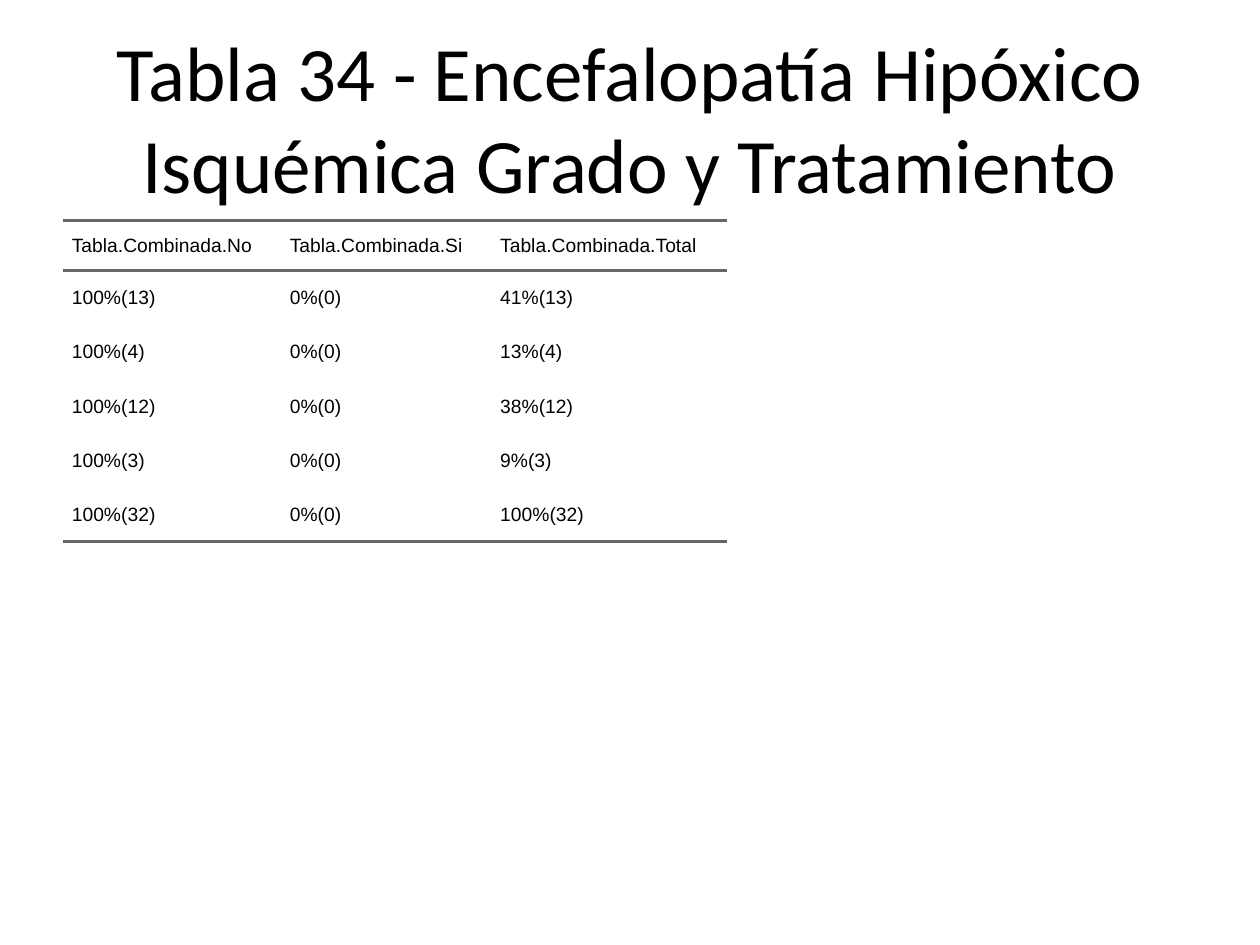
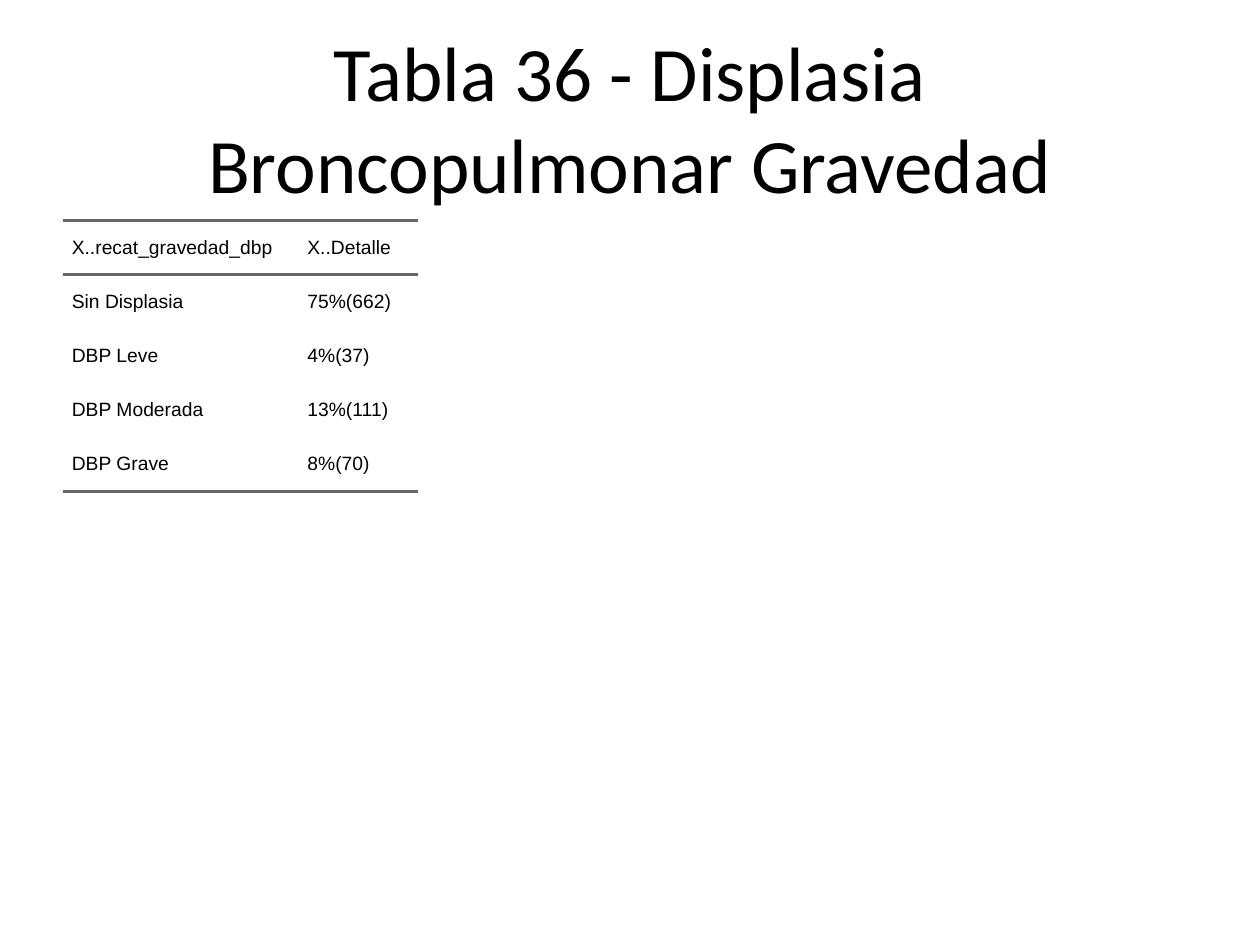
from lxml import etree
from pptx import Presentation
from pptx.dml.color import RGBColor
from pptx.enum.text import MSO_ANCHOR, MSO_AUTO_SIZE, PP_ALIGN
from pptx.oxml.ns import qn
from pptx.util import Inches, Pt

TABLE_SLIDES = [
    {
        "title": "Tabla 34 - Encefalopatía Hipóxico Isquémica Grado y Tratamiento",
        "column_widths": [1.73, 1.67, 1.87],
        "header_height": 0.4,
        "rows": [
            ("Tabla.Combinada.No", "Tabla.Combinada.Si", "Tabla.Combinada.Total"),
            ("100%(13)", "0%(0)", "41%(13)"),
            ("100%(4)", "0%(0)", "13%(4)"),
            ("100%(12)", "0%(0)", "38%(12)"),
            ("100%(3)", "0%(0)", "9%(3)"),
            ("100%(32)", "0%(0)", "100%(32)"),
        ],
    },
    {
        "title": "Tabla 36 - Displasia Broncopulmonar Gravedad",
        "column_widths": [1.87, 0.95],
        "header_height": 0.43,
        "rows": [
            ("X..recat_gravedad_dbp", "X..Detalle"),
            ("Sin Displasia", "75%(662)"),
            ("DBP Leve", "4%(37)"),
            ("DBP Moderada", "13%(111)"),
            ("DBP Grave", "8%(70)"),
        ],
    },
]

BLACK = RGBColor(0x00, 0x00, 0x00)
RULE_GRAY = RGBColor(0x66, 0x66, 0x66)
MIDDLE = MSO_ANCHOR.MIDDLE
CENTER = PP_ALIGN.CENTER
LEFT = PP_ALIGN.LEFT
NO_AUTOFIT = MSO_AUTO_SIZE.NONE

TITLE_BOX = {"left": Inches(0.5), "top": Inches(0.3),
             "width": Inches(9), "height": Inches(1.25)}
TITLE_FRAME = {"word_wrap": True, "auto_size": NO_AUTOFIT, "vertical_anchor": MIDDLE}
TITLE_FONT = {"name": "Calibri", "size": Pt(44)}
CELL_FORMAT = {"vertical_anchor": MIDDLE, "margin_left": 0, "margin_right": 0,
               "margin_top": 0, "margin_bottom": 0}
CELL_FONT = {"name": "Arial", "size": Pt(11)}
CELL_INDENT = Inches(0.07)
TABLE_LEFT, TABLE_TOP = Inches(0.5), Inches(1.75)
BODY_ROW_HEIGHT = 0.43
RULE_WIDTH = Pt(2)
PLAIN_TABLE_STYLE = "{2D5ABB26-0587-4C30-8999-92F81FD0307C}"
TITLE_ONLY_LAYOUT = 5


def apply_format(target, values):
    for name, value in values.items():
        setattr(target, name, value)


def format_paragraph(paragraph, font_values, alignment):
    paragraph.alignment = alignment
    apply_format(paragraph.font, font_values)
    paragraph.font.color.rgb = BLACK


def add_rule(cell, side):
    line = etree.SubElement(cell._tc.get_or_add_tcPr(), qn(f"a:{side}"), w=str(RULE_WIDTH))
    fill = etree.SubElement(line, qn("a:solidFill"))
    etree.SubElement(fill, qn("a:srgbClr"), val=str(RULE_GRAY))


def fill_title(slide, text):
    title = slide.shapes.title
    apply_format(title, TITLE_BOX)
    title.text_frame.text = text
    apply_format(title.text_frame, TITLE_FRAME)
    format_paragraph(title.text_frame.paragraphs[0], TITLE_FONT, CENTER)


def fill_cell(cell, text, rule_sides):
    cell.text = text
    apply_format(cell, CELL_FORMAT)
    paragraph = cell.text_frame.paragraphs[0]
    format_paragraph(paragraph, CELL_FONT, LEFT)
    paragraph._p.get_or_add_pPr().set("marL", str(CELL_INDENT))
    for side in rule_sides:
        add_rule(cell, side)
    cell.fill.background()


def add_ruled_table(slide, rows, column_widths, header_height):
    row_heights = [header_height] + [BODY_ROW_HEIGHT] * (len(rows) - 1)
    table = slide.shapes.add_table(
        len(rows), len(column_widths), TABLE_LEFT, TABLE_TOP,
        Inches(sum(column_widths)), Inches(sum(row_heights))).table
    apply_format(table, {"first_row": False, "horz_banding": False})
    table._tbl.tblPr.find(qn("a:tableStyleId")).text = PLAIN_TABLE_STYLE
    for column, width in zip(table.columns, column_widths):
        column.width = Inches(width)
    rule_sides = {0: ("lnT", "lnB"), len(rows) - 1: ("lnB",)}
    for row_index, (texts, height) in enumerate(zip(rows, row_heights)):
        table.rows[row_index].height = Inches(height)
        for column_index, text in enumerate(texts):
            fill_cell(table.cell(row_index, column_index), text,
                      rule_sides.get(row_index, ()))


def main():
    presentation = Presentation()
    presentation.slide_width = Inches(10)
    presentation.slide_height = Inches(7.5)
    layout = presentation.slide_layouts[TITLE_ONLY_LAYOUT]
    for content in TABLE_SLIDES:
        slide = presentation.slides.add_slide(layout)
        fill_title(slide, content["title"])
        add_ruled_table(slide, content["rows"], content["column_widths"],
                        content["header_height"])
    presentation.save("out.pptx")


if __name__ == "__main__":
    main()
